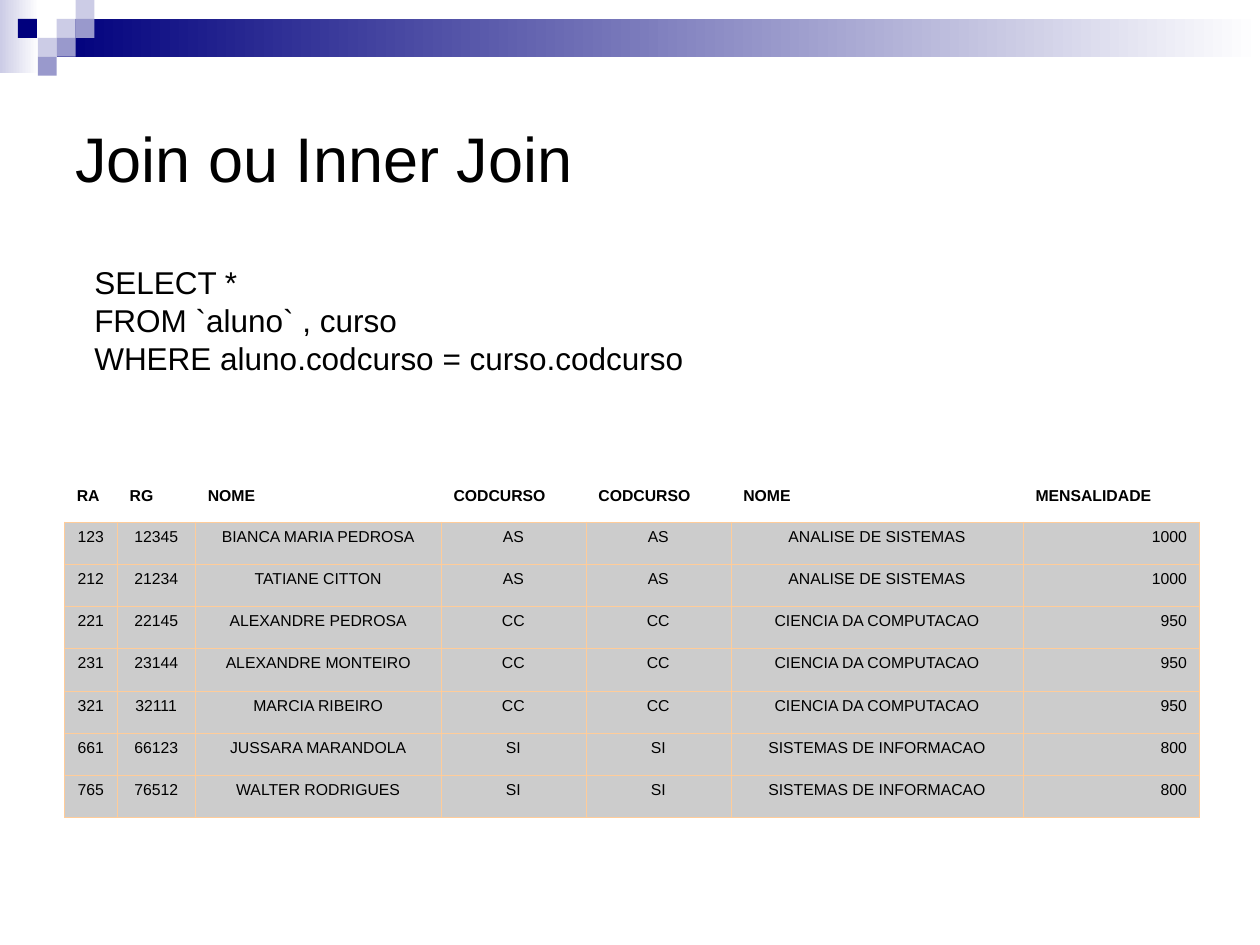
from lxml.etree import SubElement
from pptx import Presentation
from pptx.dml.color import RGBColor
from pptx.enum.shapes import MSO_SHAPE as Shape
from pptx.enum.text import MSO_ANCHOR as Anchor, MSO_AUTO_SIZE as AutoSize, PP_ALIGN as Align
from pptx.oxml.ns import qn
from pptx.util import Inches, Pt

NAVY = RGBColor(0x00, 0x00, 0x7D)
LAVENDER = RGBColor(0xCC, 0xCC, 0xE6)
PERIWINKLE = RGBColor(0x99, 0x99, 0xCC)
WHITE = RGBColor(0xFF, 0xFF, 0xFF)
BLACK = RGBColor(0x00, 0x00, 0x00)
GRAY = RGBColor(0xCC, 0xCC, 0xCC)
PEACH = RGBColor(0xFF, 0xCC, 0x99)

TITLE = "Join ou Inner Join"
QUERY = "SELECT * \nFROM `aluno` , curso\nWHERE aluno.codcurso = curso.codcurso"
HEADER = ("RA", "RG", "NOME", "CODCURSO", "CODCURSO", "NOME", "MENSALIDADE")
COURSES = {
    "AS": ("AS", "ANALISE DE SISTEMAS", "1000"),
    "CC": ("CC", "CIENCIA DA COMPUTACAO", "950"),
    "SI": ("SI", "SISTEMAS DE INFORMACAO", "800"),
}
STUDENTS = [
    ("123", "12345", "BIANCA MARIA PEDROSA", "AS"),
    ("212", "21234", "TATIANE CITTON", "AS"),
    ("221", "22145", "ALEXANDRE PEDROSA", "CC"),
    ("231", "23144", "ALEXANDRE MONTEIRO", "CC"),
    ("321", "32111", "MARCIA RIBEIRO", "CC"),
    ("661", "66123", "JUSSARA MARANDOLA", "SI"),
    ("765", "76512", "WALTER RODRIGUES", "SI"),
]
COLUMN_WIDTHS = (0.42, 0.62, 1.95, 1.15, 1.15, 2.32, 1.4)
HEADER_HEIGHT, BODY_HEIGHT = 0.32, 2.35
BORDER_WIDTH = Pt(0.06)
NO_STYLE = "{2D5ABB26-0587-4C30-8999-92F81FD0307C}"

UNIT = 0.15
BANDS = [(0, 0, 0.31, 0.58, LAVENDER), (0.45, UNIT, 9.55, 2 * UNIT, NAVY)]
SQUARES = [
    (3, 1, LAVENDER), (4, 0, LAVENDER), (4, 1, PERIWINKLE), (2, 2, LAVENDER),
    (0.95, 1, NAVY), (3, 2, PERIWINKLE), (2, 3, PERIWINKLE),
]


def add_rectangle(slide, left, top, width, height):
    shape = slide.shapes.add_shape(Shape.RECTANGLE, *map(Inches, (left, top, width, height)))
    shape.shadow.inherit = False
    shape.line.fill.background()
    return shape


def add_header_art(slide):
    for *box, color in BANDS:
        fill = add_rectangle(slide, *box).fill
        fill.gradient()
        fill.gradient_angle = 0
        for stop, stop_color in zip(fill.gradient_stops, (color, WHITE)):
            stop.color.rgb = stop_color
    for column, row, color in SQUARES:
        fill = add_rectangle(slide, column * UNIT, row * UNIT, UNIT, UNIT).fill
        fill.solid()
        fill.fore_color.rgb = color


def write(paragraph, text, size, bold=False, align=Align.LEFT):
    paragraph.text = text
    paragraph.alignment = align
    values = {"name": "Arial", "size": Pt(size), "bold": bold}
    for run in paragraph.runs:
        for name, value in values.items():
            setattr(run.font, name, value)
        run.font.color.rgb = BLACK


def add_text(slide, box, text, size, **frame_values):
    frame = slide.shapes.add_textbox(*map(Inches, box)).text_frame
    for name, value in {"word_wrap": True, **frame_values}.items():
        setattr(frame, name, value)
    write(frame.paragraphs[0], text, size)


def add_borders(cell, sides):
    properties = cell._tc.get_or_add_tcPr()
    for side in sides:
        line = SubElement(properties, qn(f"a:ln{side}"), w=str(BORDER_WIDTH))
        fill = SubElement(line, qn("a:solidFill"))
        SubElement(fill, qn("a:srgbClr"), val=str(PEACH))


def add_result_table(slide):
    rows = [HEADER] + [student + COURSES[student[-1]] for student in STUDENTS]
    box = (0.51, 3.82, sum(COLUMN_WIDTHS), HEADER_HEIGHT + BODY_HEIGHT)
    frame = slide.shapes.add_table(len(rows), len(HEADER), *map(Inches, box))
    table = frame.table
    table.first_row = table.horz_banding = False
    table._tbl.tblPr.find(qn("a:tableStyleId")).text = NO_STYLE
    for column, width in zip(table.columns, COLUMN_WIDTHS):
        column.width = Inches(width)
    for row_index, values in enumerate(rows):
        is_header = row_index == 0
        height = HEADER_HEIGHT if is_header else BODY_HEIGHT / len(STUDENTS)
        table.rows[row_index].height = Inches(height)
        for column_index, text in enumerate(values):
            cell = table.cell(row_index, column_index)
            add_borders(cell, "B" if is_header else "LRTB")
            if is_header:
                align = Align.LEFT
                cell.fill.background()
            else:
                align = Align.RIGHT if column_index == len(HEADER) - 1 else Align.CENTER
                cell.fill.solid()
                cell.fill.fore_color.rgb = GRAY
            write(cell.text_frame.paragraphs[0], text, 9, is_header, align)


def main():
    presentation = Presentation()
    presentation.slide_width, presentation.slide_height = Inches(10), Inches(7.5)
    slide = presentation.slides.add_slide(presentation.slide_layouts[6])
    add_header_art(slide)
    add_text(slide, (0.5, 0.5, 9, 1.5), TITLE, 36, vertical_anchor=Anchor.MIDDLE)
    add_result_table(slide)
    add_text(slide, (0.65, 2.04, 6.79, 1), QUERY, 18, auto_size=AutoSize.SHAPE_TO_FIT_TEXT)
    presentation.save("out.pptx")


if __name__ == "__main__":
    main()
